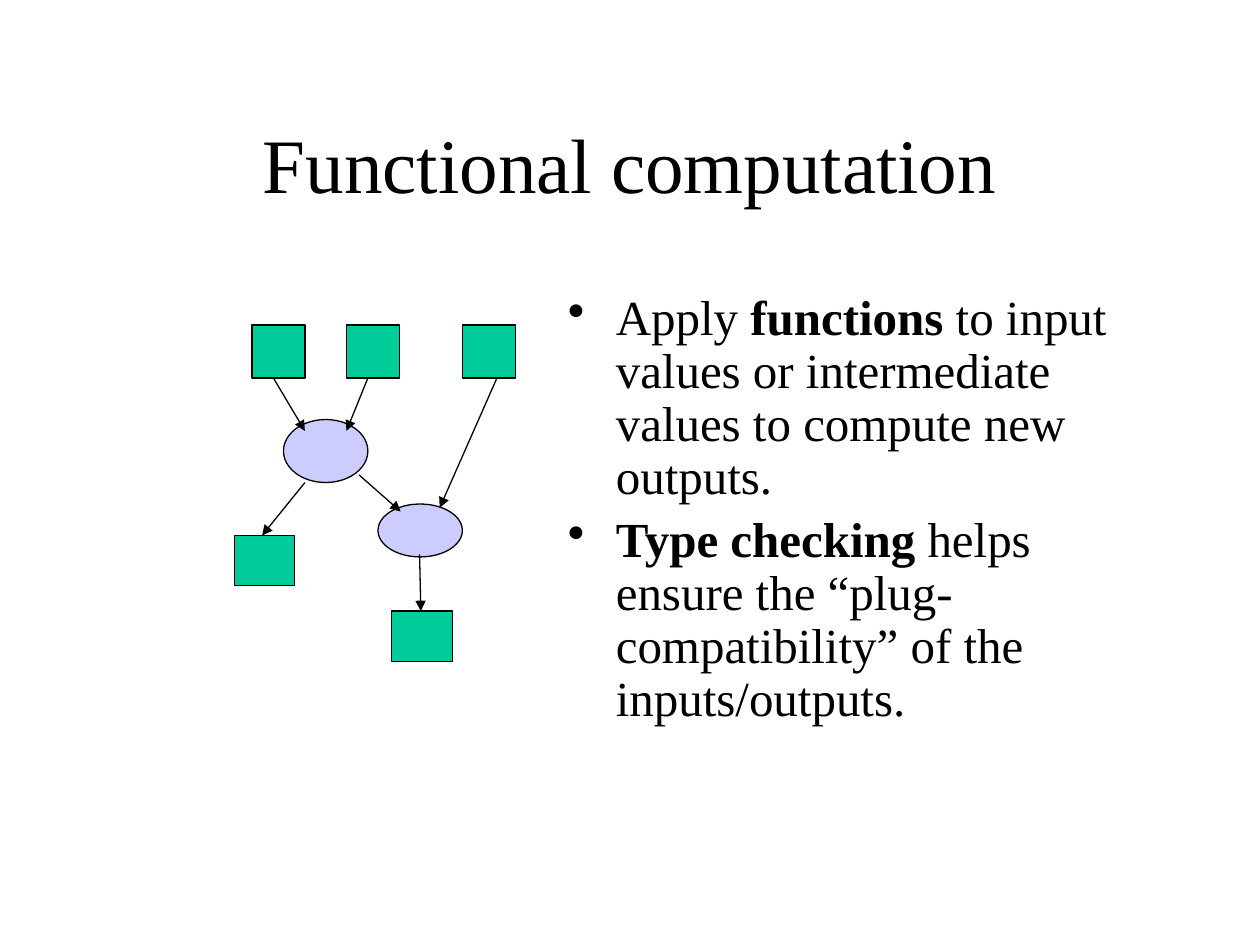
from lxml.etree import SubElement
from pptx import Presentation
from pptx.dml.color import RGBColor
from pptx.enum.shapes import MSO_CONNECTOR, MSO_SHAPE
from pptx.enum.text import MSO_ANCHOR, PP_ALIGN
from pptx.oxml.ns import qn
from pptx.util import Inches, Pt

FONT = "Times New Roman"
BLACK, GREEN, LAVENDER = "000000", "00CC99", "CCCCFF"

# Boxes and ellipses: left, top, width, height
VALUES = [(left, 2.58, 0.42, 0.42) for left in (2, 2.75, 3.67)]
RESULTS = [(1.86, 4.25, 0.48, 0.4), (3.11, 4.85, 0.48, 0.4)]
FUNCTIONS = [(2.25, 3.33, 0.67, 0.5), (3, 4, 0.67, 0.42)]

# Arrows: start x, start y, end x, end y
ARROWS = [
    (2.17, 3, 2.42, 3.42),
    (2.92, 3, 2.75, 3.42),
    (2.42, 3.83, 2.08, 4.25),
    (2.85, 3.77, 3.18, 4.06),
    (3.94, 3.01, 3.49, 4.03),
    (3.33, 4.4, 3.34, 4.85),
]

# Each bullet is a list of (text, bold) runs
BULLETS = [
    [("Apply ", False), ("functions ", True),
     ("to input values or intermediate values to compute new outputs.", False)],
    [("Type checking", True),
     (" helps ensure the “plug-compatibility” of the inputs/outputs.", False)],
]


def color(value):
    return RGBColor.from_string(value)


def set_font(paragraph, size):
    paragraph.font.name = FONT
    paragraph.font.size = Pt(size)
    paragraph.font.color.rgb = color(BLACK)


def set_line(line):
    line.color.rgb = color(BLACK)
    line.width = Pt(0.75)


def add_title(slide, text):
    title = slide.shapes.title
    title.left, title.top = Inches(0.75), Inches(0.67)
    title.width, title.height = Inches(8.5), Inches(1.25)
    title.text_frame.text = text
    title.text_frame.vertical_anchor = MSO_ANCHOR.MIDDLE
    paragraph = title.text_frame.paragraphs[0]
    paragraph.alignment = PP_ALIGN.CENTER
    set_font(paragraph, 44)


def add_bullets(slide, bullets):
    box = slide.shapes.add_textbox(
        Inches(4.41), Inches(2.28), Inches(4.84), Inches(3.65))
    frame = box.text_frame
    frame.word_wrap = True
    for index, runs in enumerate(bullets):
        paragraph = frame.add_paragraph() if index else frame.paragraphs[0]
        paragraph.line_spacing = 0.9
        paragraph.space_before = Pt(5.6)
        set_font(paragraph, 28)
        for text, bold in runs:
            run = paragraph.add_run()
            run.text = text
            run.font.bold = bold
        # Hanging bullet, placed before the default run properties
        properties = paragraph._p.get_or_add_pPr()
        properties.set("marL", str(Inches(0.38)))
        properties.set("indent", str(-Inches(0.38)))
        bullet = SubElement(properties, qn("a:buChar"), char="•")
        properties.find(qn("a:defRPr")).addprevious(bullet)


def add_node(slide, kind, bounds, fill):
    shape = slide.shapes.add_shape(kind, *map(Inches, bounds))
    shape.shadow.inherit = False
    shape.fill.solid()
    shape.fill.fore_color.rgb = color(fill)
    set_line(shape.line)


def add_arrow(slide, ends):
    arrow = slide.shapes.add_connector(
        MSO_CONNECTOR.STRAIGHT, *map(Inches, ends))
    set_line(arrow.line)
    SubElement(arrow.line._get_or_add_ln(), qn("a:tailEnd"), type="triangle")
    SubElement(arrow._element.spPr, qn("a:effectLst"))


def main():
    presentation = Presentation()
    presentation.slide_width, presentation.slide_height = Inches(10), Inches(7.5)
    slide = presentation.slides.add_slide(presentation.slide_layouts[5])

    add_title(slide, "Functional computation")
    add_bullets(slide, BULLETS)

    # Data flow: values pass through functions to results
    for bounds in VALUES + RESULTS:
        add_node(slide, MSO_SHAPE.RECTANGLE, bounds, GREEN)
    for bounds in FUNCTIONS:
        add_node(slide, MSO_SHAPE.OVAL, bounds, LAVENDER)
    for ends in ARROWS:
        add_arrow(slide, ends)

    presentation.save("out.pptx")


if __name__ == "__main__":
    main()
